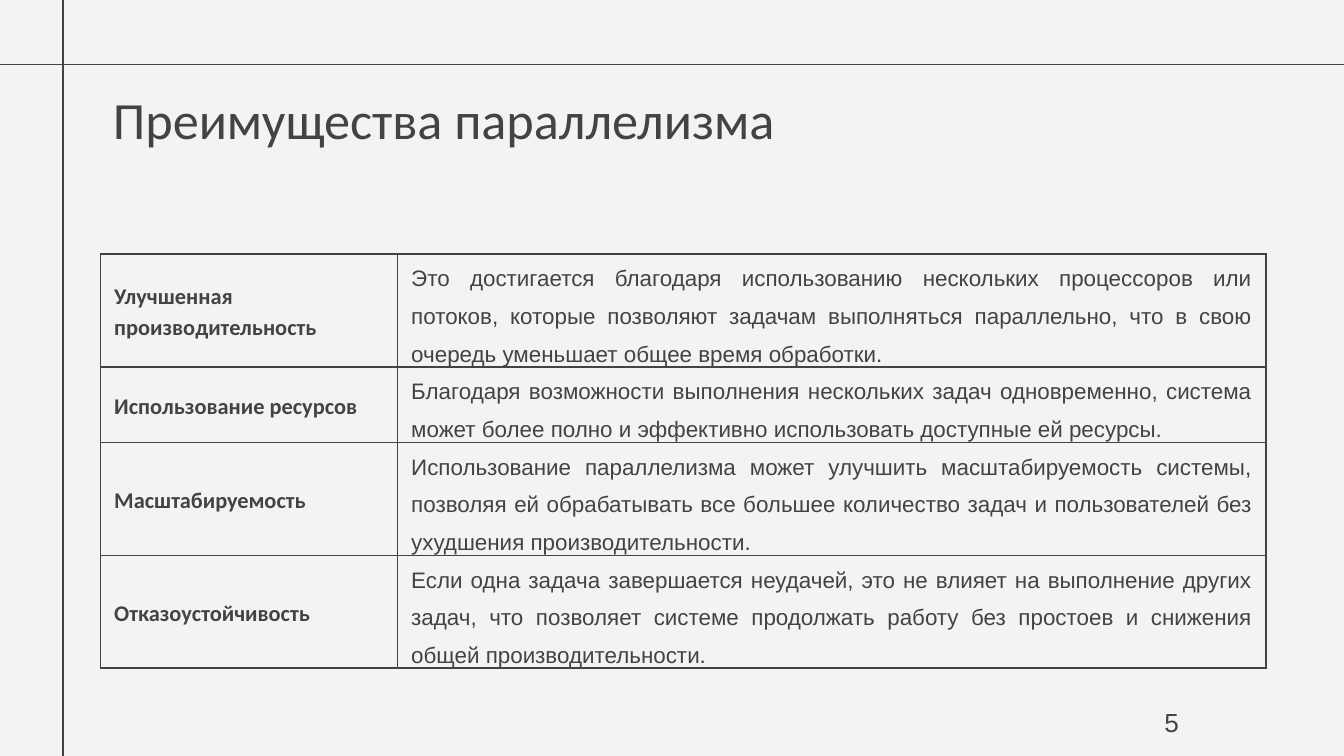
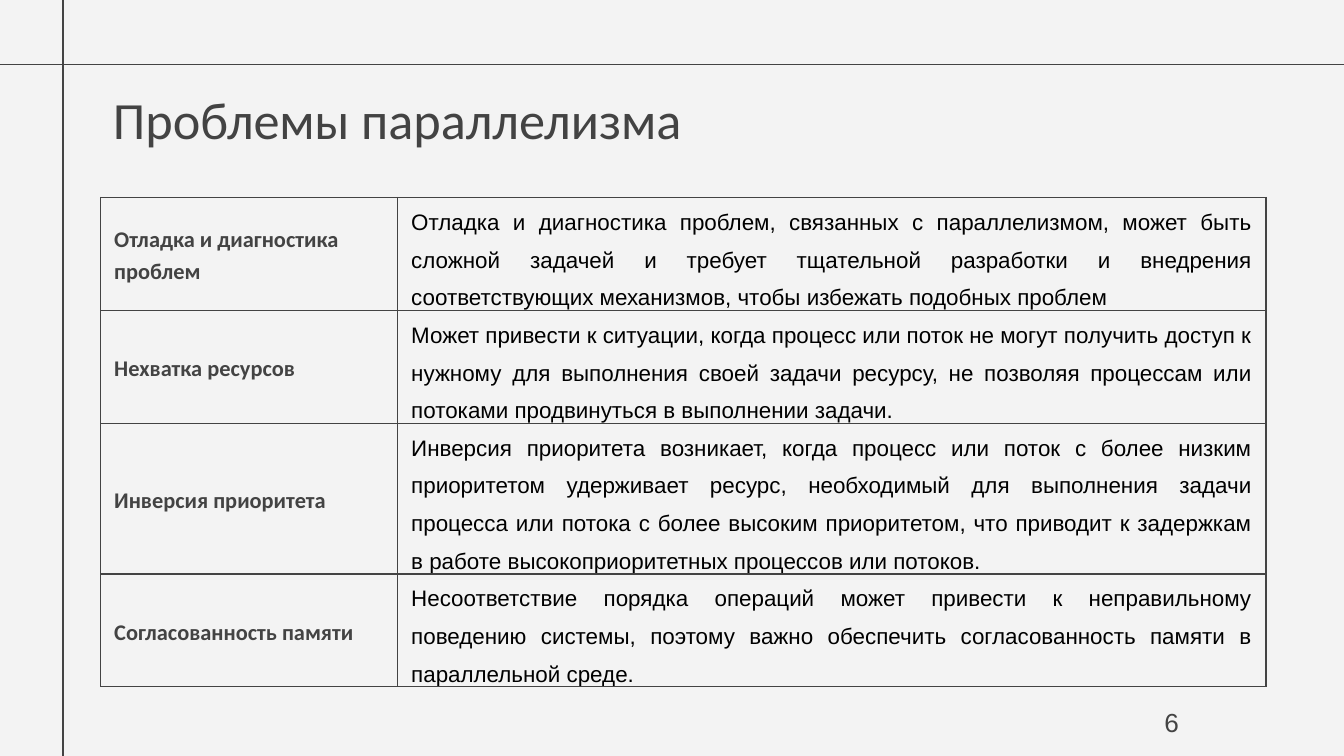
from lxml.etree import SubElement
from pptx import Presentation
from pptx.dml.color import RGBColor
from pptx.enum.shapes import MSO_CONNECTOR as Connector
from pptx.enum.text import MSO_ANCHOR as Anchor, MSO_AUTO_SIZE as AutoSize, PP_ALIGN as Align
from pptx.oxml.ns import qn
from pptx.util import Inches, Pt

INK = "434343"
BLACK = "000000"
PAPER = "F3F3F3"
LINE_WIDTH = 0.75
TEXT_LINE = 0.28
COLUMN_WIDTHS = (2.21, 6.46)

ADVANTAGES = [
    ("Улучшенная производительность",
     "Это достигается благодаря использованию нескольких процессоров или потоков, которые "
     "позволяют задачам выполняться параллельно, что в свою очередь уменьшает общее время "
     "обработки.", 3),
    ("Использование ресурсов",
     "Благодаря возможности выполнения нескольких задач одновременно, система может более "
     "полно и эффективно использовать доступные ей ресурсы.", 2),
    ("Масштабируемость",
     "Использование параллелизма может улучшить масштабируемость системы, позволяя ей "
     "обрабатывать все большее количество задач и пользователей без ухудшения "
     "производительности.", 3),
    ("Отказоустойчивость",
     "Если одна задача завершается неудачей, это не влияет на выполнение других задач, что "
     "позволяет системе продолжать работу без простоев и снижения общей "
     "производительности.", 3),
]

PROBLEMS = [
    ("Отладка и диагностика проблем",
     "Отладка и диагностика проблем, связанных с параллелизмом, может быть сложной задачей "
     "и требует тщательной разработки и внедрения соответствующих механизмов, чтобы "
     "избежать подобных проблем", 3),
    ("Нехватка ресурсов",
     "Может привести к ситуации, когда процесс или поток не могут получить доступ к нужному "
     "для выполнения своей задачи ресурсу, не позволяя процессам или потоками продвинуться "
     "в выполнении задачи.", 3),
    ("Инверсия приоритета",
     "Инверсия приоритета возникает, когда процесс или поток с более низким приоритетом "
     "удерживает ресурс, необходимый для выполнения задачи процесса или потока с более "
     "высоким приоритетом, что приводит к задержкам в работе высокоприоритетных процессов "
     "или потоков.", 4),
    ("Согласованность памяти",
     "Несоответствие порядка операций может привести к неправильному поведению системы, "
     "поэтому важно обеспечить согласованность памяти в параллельной среде.", 3),
]


def rgb(value):
    return RGBColor.from_string(value)


class Deck:
    """Holds the shared style and the slide being built."""

    def __init__(self):
        self.presentation = Presentation()
        self.presentation.slide_width = Inches(10)
        self.presentation.slide_height = Inches(10) * 9 // 16
        self.slide = None

    def add_slide(self, title, number):
        self.slide = self.presentation.slides.add_slide(self.presentation.slide_layouts[5])
        background = self.slide.background.fill
        background.solid()
        background.fore_color.rgb = rgb(PAPER)
        self.add_line(10.06, 0.48, -0.05, 0.48)
        self.add_line(0.47, 0, 0.47, 5.66)
        self.add_title(title)
        self.add_page_number(number)

    def add_line(self, *ends):
        line = self.slide.shapes.add_connector(Connector.STRAIGHT, *map(Inches, ends))
        line.line.color.rgb = rgb(INK)
        line.line.width = Pt(LINE_WIDTH)
        SubElement(line._element.spPr, qn("a:effectLst"))

    def add_title(self, text):
        shape = self.slide.shapes.title
        shape.left, shape.top, shape.width, shape.height = map(Inches, (0.74, 0.55, 8.67, 0.53))
        self.set_frame(shape.text_frame, text, Anchor.TOP)
        self.format_text(shape.text_frame, "Calibri", 28)

    def add_page_number(self, number):
        shape = self.slide.shapes.add_textbox(*map(Inches, (8.27, 5.16, 0.6, 0.43)))
        self.set_frame(shape.text_frame, str(number), Anchor.MIDDLE)
        self.format_text(shape.text_frame, "Arial", 14, align=Align.RIGHT)

    def set_frame(self, frame, text, anchor):
        frame.text = text
        frame.word_wrap = True
        frame.auto_size = AutoSize.NONE
        frame.vertical_anchor = anchor
        frame.margin_left = frame.margin_right = Inches(0.1)
        frame.margin_top = frame.margin_bottom = Inches(0.1)

    def format_text(self, frame, font_name, size, color=INK, bold=False, align=Align.LEFT,
                    spacing=None):
        for paragraph in frame.paragraphs:
            paragraph.alignment = align
            paragraph.line_spacing = spacing
            for run in paragraph.runs:
                run.font.name = font_name
                run.font.size = Pt(size)
                run.font.bold = bold
                run.font.color.rgb = rgb(color)

    def add_table(self, entries, top, description_color):
        height = TEXT_LINE * sum(lines for _, _, lines in entries)
        table = self.slide.shapes.add_table(
            len(entries), 2, Inches(0.75), Inches(top),
            Inches(sum(COLUMN_WIDTHS)), Inches(height)).table
        table.first_row = table.horz_banding = False
        for column, width in zip(table.columns, COLUMN_WIDTHS):
            column.width = Inches(width)
        for row, (term, description, lines) in zip(table.rows, entries):
            row.height = Inches(TEXT_LINE * lines)
            term_cell, description_cell = row.cells
            self.set_cell(term_cell, term)
            self.format_text(term_cell.text_frame, "Calibri", 12, bold=True, spacing=1.15)
            self.set_cell(description_cell, description)
            self.format_text(description_cell.text_frame, "Arial", 12, description_color,
                             align=Align.JUSTIFY, spacing=1.5)

    def set_cell(self, cell, text):
        cell.text_frame.text = text
        cell.vertical_anchor = Anchor.MIDDLE
        cell.margin_left = cell.margin_right = Inches(0.1)
        cell.margin_top = cell.margin_bottom = 0
        properties = cell._tc.get_or_add_tcPr()
        for side in ("lnL", "lnR", "lnT", "lnB"):
            border = SubElement(properties, qn(f"a:{side}"), w=str(Pt(LINE_WIDTH)))
            fill = SubElement(border, qn("a:solidFill"))
            SubElement(fill, qn("a:srgbClr"), val=INK)
        cell.fill.background()


def main():
    deck = Deck()
    deck.add_slide("Преимущества параллелизма", 5)
    deck.add_table(ADVANTAGES, 1.89, INK)
    deck.add_slide("Проблемы параллелизма", 6)
    deck.add_table(PROBLEMS, 1.47, BLACK)
    deck.presentation.save("out.pptx")


if __name__ == "__main__":
    main()
